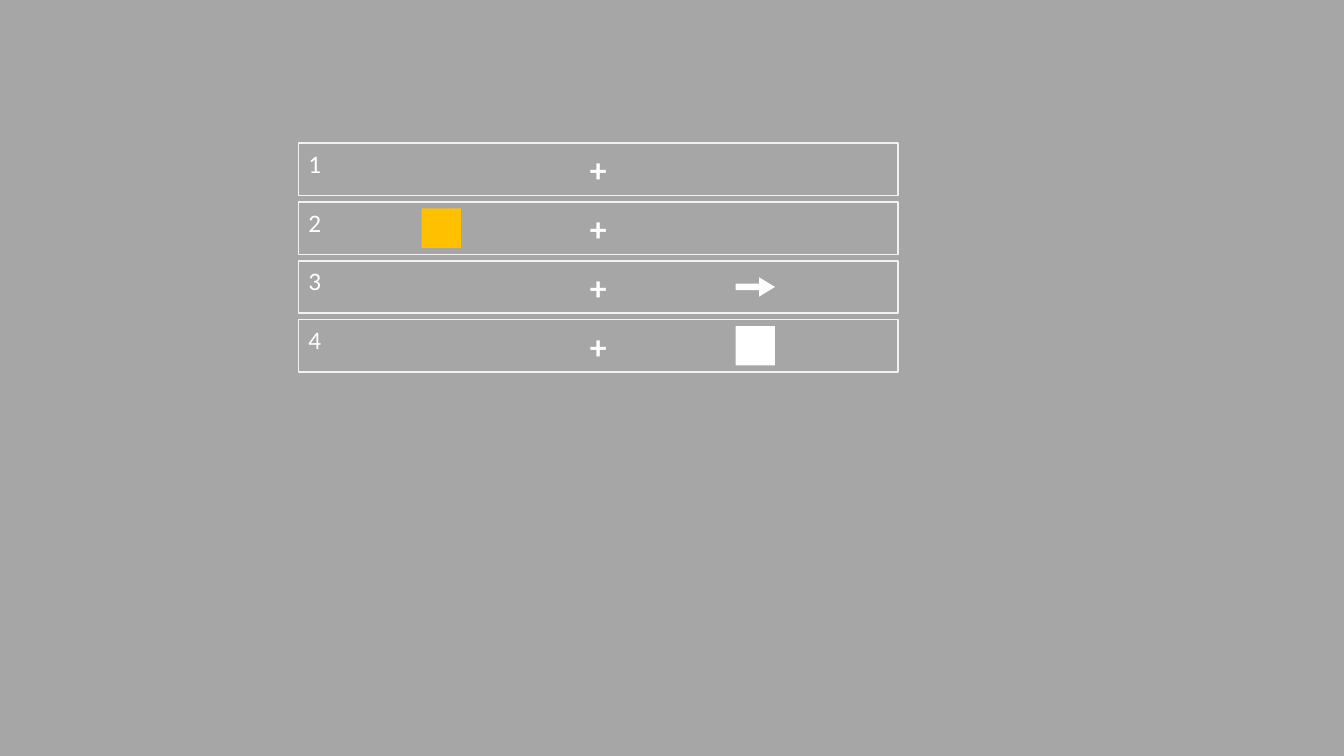
"""Build a slide with four numbered fixation-and-cue trial frames."""
from dataclasses import dataclass
from typing import Optional

from pptx import Presentation
from pptx import util as u
from pptx.dml.color import RGBColor
from pptx.enum import shapes, text

COLOURS = {"backdrop": "A6A6A6", "frame": "F2F2F2", "cue": "FFC000", "white": "FFFFFF"}
SLIDE_WIDTH, SLIDE_HEIGHT = 960, 540
FRAME_LEFT, FRAME_TOP, FRAME_WIDTH, FRAME_HEIGHT = 213.1, 102.2, 428.4, 37.4
FRAME_PITCH = 42.05
CROSS_WIDTH, CROSS_HEIGHT = 26.6, 36.4
STIMULUS_WIDTH = 28.1
LEFT_SIDE, RIGHT_SIDE = 301.1, 525.5
BOX = shapes.MSO_SHAPE.RECTANGLE
ARROW = shapes.MSO_SHAPE.RIGHT_ARROW


@dataclass(frozen=True)
class Stimulus:
    """A solid shape shown on one side of a trial frame."""

    kind: shapes.MSO_SHAPE
    left: float
    height: float
    colour: str
    adjustments: tuple[float, ...] = ()


@dataclass(frozen=True)
class Trial:
    """A numbered frame with an optional stimulus."""

    number: str
    stimulus: Optional[Stimulus] = None


TRIALS = (
    Trial("1"),
    Trial("2", Stimulus(BOX, LEFT_SIDE, STIMULUS_WIDTH, "cue")),
    Trial("3", Stimulus(ARROW, RIGHT_SIDE, 13.7, "white", (0.34, 0.82))),
    Trial("4", Stimulus(BOX, RIGHT_SIDE, STIMULUS_WIDTH, "white")),
)


def rgb(colour: str) -> RGBColor:
    """Look up a named colour."""
    return RGBColor.from_string(COLOURS[colour])


def place(left: float, top: float, width: float, height: float) -> tuple[u.Pt, ...]:
    """Turn a position and size in points into lengths."""
    return tuple(u.Pt(length) for length in (left, top, width, height))


def add_solid(slide, kind: shapes.MSO_SHAPE, area: tuple[u.Pt, ...], colour: str):
    """Add a filled shape without outline."""
    solid = slide.shapes.add_shape(kind, *area)
    solid.shadow.inherit = False
    solid.fill.solid()
    solid.fill.fore_color.rgb = rgb(colour)
    solid.line.fill.background()
    return solid


def write(frame, words: str, size: float, align: text.PP_ALIGN, bold: bool = False) -> None:
    """Write one white run into a text frame."""
    paragraph = frame.paragraphs[0]
    paragraph.alignment = align
    run = paragraph.add_run()
    run.text = words
    run.font.name = "Calibri"
    run.font.size = u.Pt(size)
    run.font.bold = bold
    run.font.color.rgb = rgb("white")


def add_trial(slide, trial: Trial, top: float) -> None:
    """Draw the frame, number, fixation cross and stimulus of a trial."""
    outline = slide.shapes.add_shape(BOX, *place(FRAME_LEFT, top, FRAME_WIDTH, FRAME_HEIGHT))
    outline.shadow.inherit = False
    outline.fill.background()
    outline.line.color.rgb = rgb("frame")
    outline.line.width = u.Pt(1)
    outline.text_frame.vertical_anchor = text.MSO_ANCHOR.TOP
    write(outline.text_frame, trial.number, 18, text.PP_ALIGN.LEFT)

    cross_left = FRAME_LEFT + (FRAME_WIDTH - CROSS_WIDTH) / 2
    cross_top = top + (FRAME_HEIGHT - CROSS_HEIGHT) / 2
    cross = slide.shapes.add_textbox(*place(cross_left, cross_top, CROSS_WIDTH, CROSS_HEIGHT))
    cross.text_frame.word_wrap = False
    cross.text_frame.auto_size = text.MSO_AUTO_SIZE.SHAPE_TO_FIT_TEXT
    cross.text_frame.vertical_anchor = text.MSO_ANCHOR.MIDDLE
    write(cross.text_frame, "+", 24, text.PP_ALIGN.CENTER, bold=True)

    stimulus = trial.stimulus
    if stimulus:
        stimulus_top = top + (FRAME_HEIGHT - stimulus.height) / 2
        area = place(stimulus.left, stimulus_top, STIMULUS_WIDTH, stimulus.height)
        solid = add_solid(slide, stimulus.kind, area, stimulus.colour)
        for index, adjustment in enumerate(stimulus.adjustments):
            solid.adjustments[index] = adjustment


def main() -> None:
    """Build and save the slide."""
    deck = Presentation()
    deck.slide_width, deck.slide_height = u.Pt(SLIDE_WIDTH), u.Pt(SLIDE_HEIGHT)
    slide = deck.slides.add_slide(deck.slide_layouts[6])
    add_solid(slide, BOX, place(0, 0, SLIDE_WIDTH, SLIDE_HEIGHT), "backdrop")
    for row, trial in enumerate(TRIALS):
        add_trial(slide, trial, FRAME_TOP + row * FRAME_PITCH)
    deck.save("out.pptx")


if __name__ == "__main__":
    main()
